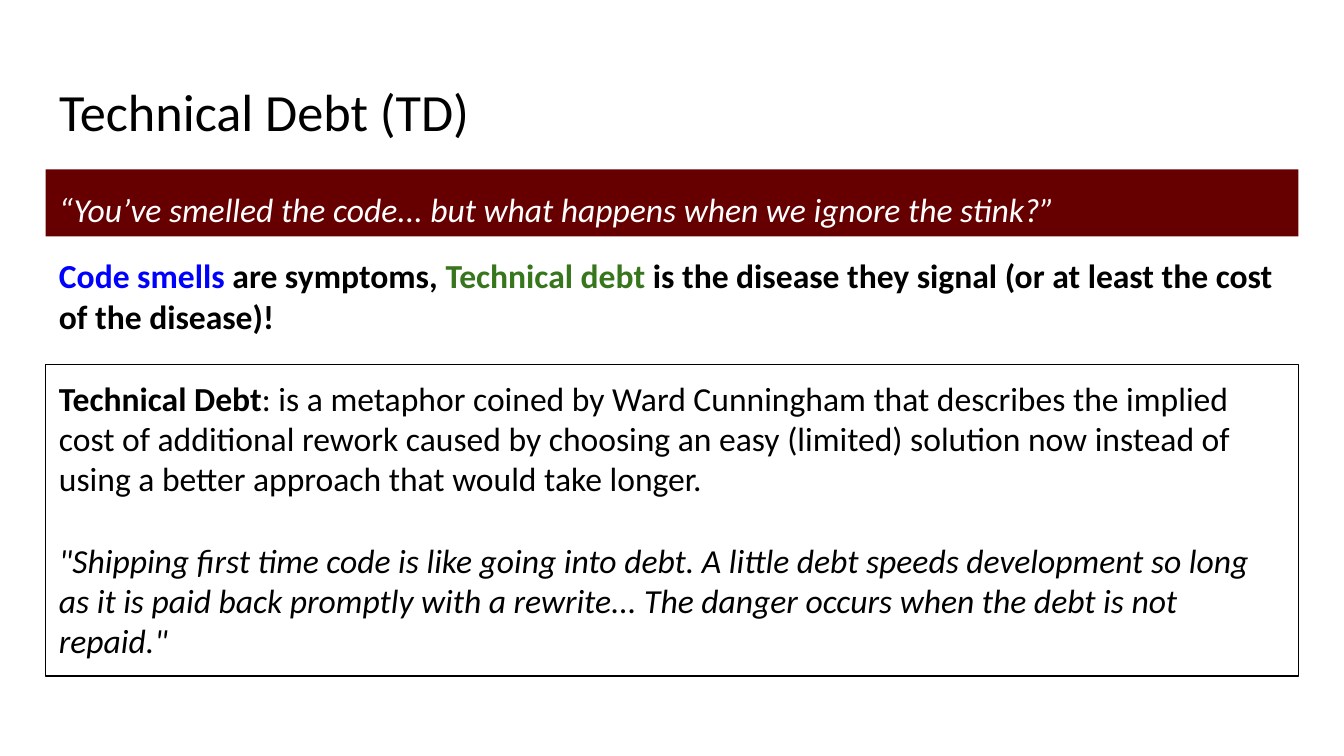
from dataclasses import dataclass
from typing import Any, Optional

from pptx import Presentation
from pptx.dml.color import RGBColor as RGB
from pptx.enum.shapes import MSO_SHAPE as Shape
from pptx.enum.text import MSO_ANCHOR as Anchor, PP_ALIGN as Align
from pptx.util import Inches, Pt


@dataclass(frozen=True)
class Theme:
    font: str = "Calibri"
    title_size: float = 28
    body_size: float = 18
    black: str = "000000"
    white: str = "FFFFFF"
    band: str = "660000"
    blue: str = "0000FF"
    green: str = "38761D"


THEME = Theme()
LEFT, WIDTH, INSET = 0.34, 9.32, 0.1


@dataclass(frozen=True)
class Run:
    text: str
    color: str = THEME.black
    size: float = THEME.body_size
    bold: bool = False
    italic: bool = False


@dataclass(frozen=True)
class Para:
    runs: tuple[Run, ...]
    line_spacing: float = 1.0
    space_before: float = 0


@dataclass(frozen=True)
class Panel:
    top: float
    height: float
    paras: tuple[Para, ...]
    fill: Optional[str] = None
    line: Optional[str] = None


def set_attrs(target: Any, values: dict[str, Any]) -> None:
    for name, value in values.items():
        setattr(target, name, value)


def place(sp: Any, top: float, height: float) -> None:
    set_attrs(sp, {"left": Inches(LEFT), "top": Inches(top),
                   "width": Inches(WIDTH), "height": Inches(height)})


def write(sp: Any, paras: tuple[Para, ...]) -> None:
    tf = sp.text_frame
    margins = {f"margin_{side}": Inches(INSET)
               for side in ("left", "top", "right", "bottom")}
    set_attrs(tf, {"word_wrap": True, "vertical_anchor": Anchor.TOP, **margins})
    for i, para in enumerate(paras):
        p = tf.add_paragraph() if i else tf.paragraphs[0]
        set_attrs(p, {"alignment": Align.LEFT, "line_spacing": para.line_spacing})
        if i:
            p.space_before = Pt(para.space_before)
        for run in para.runs:
            r = p.add_run()
            r.text = run.text
            set_attrs(r.font, {"name": THEME.font, "size": Pt(run.size),
                               "bold": run.bold, "italic": run.italic})
            r.font.color.rgb = RGB.from_string(run.color)


def draw_panel(s: Any, panel: Panel) -> None:
    box = [Inches(v) for v in (LEFT, panel.top, WIDTH, panel.height)]
    if panel.fill or panel.line:
        sp = s.shapes.add_shape(Shape.RECTANGLE, *box)
        sp.shadow.inherit = False
        if panel.fill:
            sp.fill.solid()
            sp.fill.fore_color.rgb = RGB.from_string(panel.fill)
        else:
            sp.fill.background()
        if panel.line:
            sp.line.color.rgb = RGB.from_string(panel.line)
            sp.line.width = Pt(0.75)
        else:
            sp.line.fill.background()
    else:
        sp = s.shapes.add_textbox(*box)
    write(sp, panel.paras)


PANELS = (
    # Opening question
    Panel(1.26, 0.5, (
        Para((Run("“You’ve smelled the code... but what happens when we ignore the stink?”",
                  THEME.white, italic=True),), line_spacing=1.15),
    ), fill=THEME.band),
    # Symptom and disease
    Panel(1.8, 0.81, (
        Para((Run("Code smells", THEME.blue, bold=True),
              Run(" are symptoms, ", bold=True),
              Run("Technical debt", THEME.green, bold=True),
              Run(" is the disease they signal (or at least the cost of the disease)!",
                  bold=True))),
    )),
    # Definition and quotation
    Panel(2.71, 2.32, (
        Para((Run("Technical Debt", bold=True),
              Run(": is a metaphor coined by Ward Cunningham that describes the implied "
                  "cost of additional rework caused by choosing an easy (limited) solution "
                  "now instead of using a better approach that would take longer."))),
        Para((Run('"Shipping first time code is like going into debt. A little debt speeds '
                  "development so long as it is paid back promptly with a rewrite... "
                  'The danger occurs when the debt is not repaid."', italic=True),),
             space_before=22),
    ), line=THEME.black),
)


def main() -> None:
    # Widescreen page, 16:9
    prs = Presentation()
    set_attrs(prs, {"slide_width": Inches(10), "slide_height": Inches(10) * 9 // 16})
    s = prs.slides.add_slide(prs.slide_layouts[5])

    # Title
    title = s.shapes.title
    place(title, 0.49, 0.67)
    write(title, (Para((Run("Technical Debt (TD)", size=THEME.title_size),)),))

    # Panels below the title
    for panel in PANELS:
        draw_panel(s, panel)
    prs.save("out.pptx")


if __name__ == "__main__":
    main()
